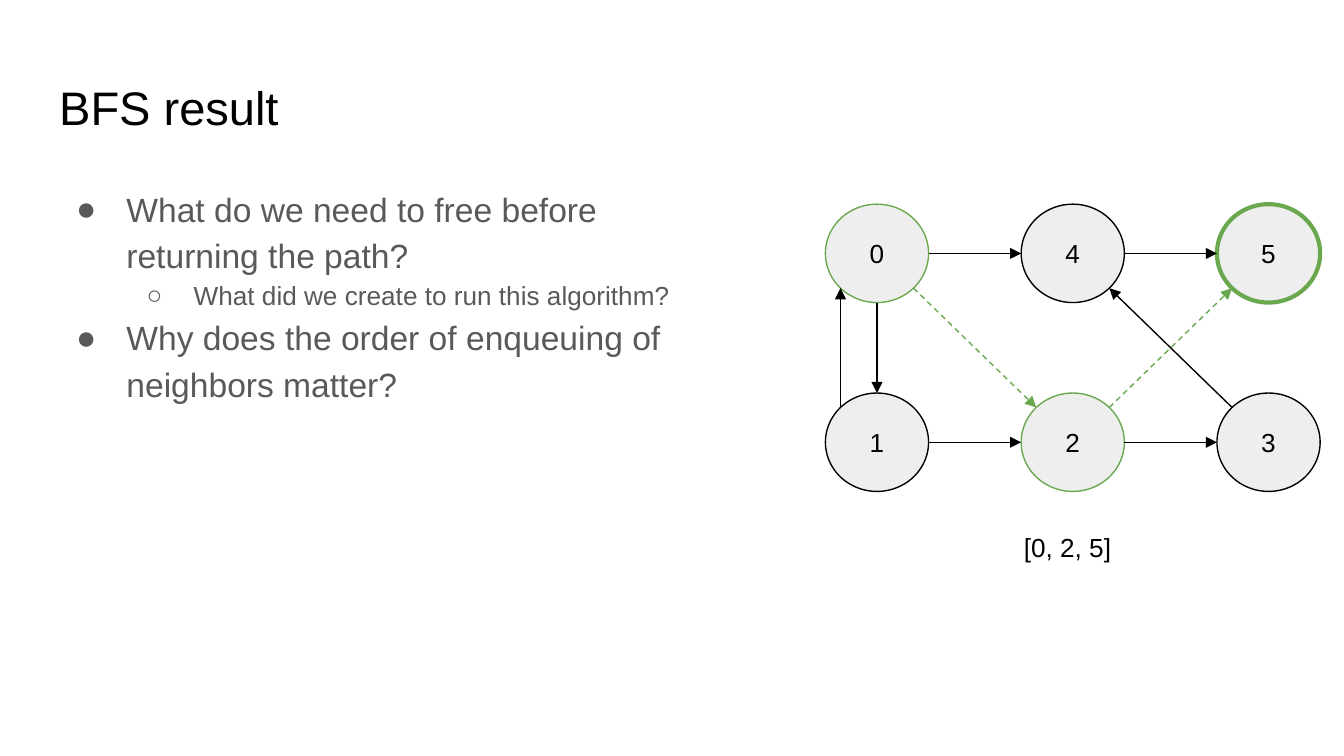
from math import cos, radians, sin

from lxml.etree import SubElement
from pptx import Presentation
from pptx.dml.color import RGBColor
from pptx.enum.dml import MSO_LINE as Dash
from pptx.enum.shapes import MSO_CONNECTOR as Connector, MSO_SHAPE as Shape
from pptx.enum.text import MSO_ANCHOR as Anchor, PP_ALIGN as Align
from pptx.oxml.ns import qn
from pptx.util import Cm, Pt

COLORS = {"ink": "000000", "body": "595959", "node": "EEEEEE", "path": "6AA84F"}
FONT = "Arial"

# Bullet levels: glyph, text size, left margin and hanging indent
LEVELS = [
    {"glyph": "●", "size": 18, "margin": 1.27, "hang": 0.95},
    {"glyph": "○", "size": 14, "margin": 2.54, "hang": 0.89},
]
QUESTIONS = [
    (0, "What do we need to free before returning the path?"),
    (1, "What did we create to run this algorithm?"),
    (0, "Why does the order of enqueuing of neighbors matter?"),
]

# Graph: label -> (column, row, outline colour, outline width)
NODES = {
    "0": (0, 0, "path", 0.75),
    "1": (0, 1, "ink", 0.75),
    "4": (1, 0, "ink", 0.75),
    "2": (1, 1, "path", 0.75),
    "5": (2, 0, "path", 2.25),
    "3": (2, 1, "ink", 0.75),
}
# Edges: start, its angle, end, its angle (clockwise from the right), on path
EDGES = [
    ("0", 90, "1", 270, False),
    ("0", 0, "4", 180, False),
    ("0", 45, "2", 225, True),
    ("4", 0, "5", 180, False),
    ("1", 0, "2", 180, False),
    ("1", 225, "0", 135, False),
    ("2", 0, "3", 180, False),
    ("3", 225, "4", 45, False),
    ("2", 315, "5", 135, True),
]
NODE_W, NODE_H = 1.95, 1.86


def color(name):
    return RGBColor.from_string(COLORS[name])


def set_all(target, values):
    for name, value in values.items():
        setattr(target, name, value)


def setup_frame(shape, anchor=Anchor.TOP):
    inset = Cm(0.25)
    set_all(shape.text_frame, {
        "word_wrap": True, "vertical_anchor": anchor,
        "margin_left": inset, "margin_right": inset,
        "margin_top": inset, "margin_bottom": inset,
    })
    return shape.text_frame


def write(para, text, size, ink="ink"):
    span = para.add_run()
    span.text = text
    set_all(span.font, {"name": FONT, "size": Pt(size)})
    span.font.color.rgb = color(ink)


def add_text(page, box, text, size):
    frame = setup_frame(page.shapes.add_textbox(*map(Cm, box)))
    write(frame.paragraphs[0], text, size)


def add_bullet(para, level):
    style = LEVELS[level]
    props = para._p.get_or_add_pPr()
    props.set("marL", str(Cm(style["margin"])))
    props.set("indent", str(-Cm(style["hang"])))
    tint = SubElement(props, qn("a:buClr"))
    SubElement(tint, qn("a:srgbClr"), val=COLORS["body"])
    SubElement(props, qn("a:buFont"), typeface=FONT)
    SubElement(props, qn("a:buChar"), char=style["glyph"])


def add_questions(page, box):
    frame = setup_frame(page.shapes.add_textbox(*map(Cm, box)))
    for index, (level, text) in enumerate(QUESTIONS):
        para = frame.add_paragraph() if index else frame.paragraphs[0]
        set_all(para, {"level": level, "line_spacing": 1.15})
        add_bullet(para, level)
        write(para, text, LEVELS[level]["size"], "body")


def add_node(group, label, center, outline, width):
    x, y = center
    node = group.shapes.add_shape(
        Shape.OVAL, Cm(x - NODE_W / 2), Cm(y - NODE_H / 2), Cm(NODE_W), Cm(NODE_H))
    node.shadow.inherit = False
    node.fill.solid()
    node.fill.fore_color.rgb = color("node")
    node.line.color.rgb = color(outline)
    node.line.width = Pt(width)
    para = setup_frame(node, Anchor.MIDDLE).paragraphs[0]
    para.alignment = Align.CENTER
    write(para, label, 14)


def rim_point(center, angle):
    x, y = center
    turn = radians(angle)
    return Cm(x + NODE_W / 2 * cos(turn)), Cm(y + NODE_H / 2 * sin(turn))


def add_edge(group, start, end, on_path):
    edge = group.shapes.add_connector(Connector.STRAIGHT, *start, *end)
    edge.line.color.rgb = color("path" if on_path else "ink")
    edge.line.width = Pt(0.75)
    if on_path:
        edge.line.dash_style = Dash.DASH
    SubElement(edge.line._get_or_add_ln(), qn("a:tailEnd"), type="triangle")
    SubElement(edge._element.spPr, qn("a:effectLst"))


def add_graph(page, box):
    left, top, width, height = box
    group = page.shapes.add_group_shape()
    centers = {}
    for label, (column, row, outline, line_width) in NODES.items():
        centers[label] = (left + NODE_W / 2 + column * (width - NODE_W) / 2,
                          top + NODE_H / 2 + row * (height - NODE_H))
        add_node(group, label, centers[label], outline, line_width)
    for start, start_angle, end, end_angle, on_path in EDGES:
        add_edge(group, rim_point(centers[start], start_angle),
                 rim_point(centers[end], end_angle), on_path)


def build_slide(deck):
    page = deck.slides.add_slide(deck.slide_layouts[6])
    # Title
    add_text(page, (0.87, 1.24, 23.67, 1.6), "BFS result", 25.2)
    # Graph and the path found
    add_graph(page, (15.6, 3.86, 9.35, 5.43))
    add_text(page, (19.1, 9.8, 2.34, 1.12), "[0, 2, 5]", 14)
    # Questions
    add_questions(page, (0.87, 3.2, 13.26, 9.5))


deck = Presentation()
set_all(deck, {"slide_width": Cm(25.4), "slide_height": Cm(14.29)})
build_slide(deck)
deck.save("out.pptx")
